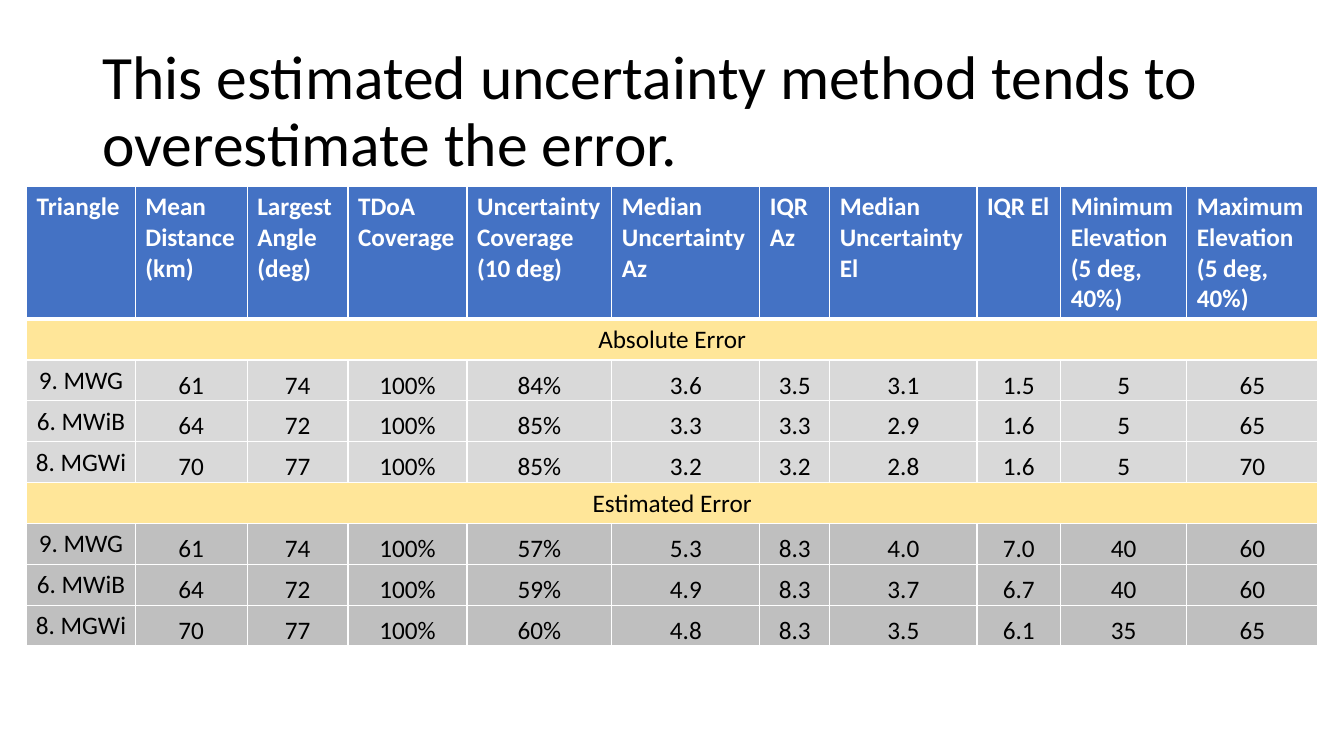
import pptx
import pptx.dml.color
import pptx.enum.text
import pptx.oxml
import pptx.oxml.ns
import pptx.util

Cm = pptx.util.Cm
RGBColor = pptx.dml.color.RGBColor
Align = pptx.enum.text.PP_ALIGN
Anchor = pptx.enum.text.MSO_ANCHOR

BLACK = RGBColor(0x00, 0x00, 0x00)
WHITE = RGBColor(0xFF, 0xFF, 0xFF)
BLUE = RGBColor(0x44, 0x72, 0xC4)
YELLOW = RGBColor(0xFF, 0xE6, 0x99)
LIGHT_GRAY = RGBColor(0xD9, 0xD9, 0xD9)
MID_GRAY = RGBColor(0xBF, 0xBF, 0xBF)

HEADER_HEIGHT = Cm(3.34)
ROW_HEIGHT = Cm(1.03)
COLUMN_WIDTHS = [2.74, 2.82, 2.54, 3, 3.65, 3.73, 1.76, 3.71, 2.11, 3.18, 3.3]

HEADINGS = [
    "Triangle", "Mean Distance (km)", "Largest Angle (deg)", "TDoA Coverage",
    "Uncertainty Coverage\n(10 deg)", "Median Uncertainty Az", "IQR Az",
    "Median Uncertainty El", "IQR El", "Minimum Elevation (5 deg, 40%)",
    "Maximum Elevation (5 deg, 40%)",
]
ABSOLUTE_ROWS = [
    ["9. MWG", "61", "74", "100%", "84%", "3.6", "3.5", "3.1", "1.5", "5", "65"],
    ["6. MWiB", "64", "72", "100%", "85%", "3.3", "3.3", "2.9", "1.6", "5", "65"],
    ["8. MGWi", "70", "77", "100%", "85%", "3.2", "3.2", "2.8", "1.6", "5", "70"],
]
ESTIMATED_ROWS = [
    ["9. MWG", "61", "74", "100%", "57%", "5.3", "8.3", "4.0", "7.0", "40", "60"],
    ["6. MWiB", "64", "72", "100%", "59%", "4.9", "8.3", "3.7", "6.7", "40", "60"],
    ["8. MGWi", "70", "77", "100%", "60%", "4.8", "8.3", "3.5", "6.1", "35", "65"],
]


def write_text(frame, text, size=18, color=BLACK, bold=False, align=Align.LEFT, spacing=1.0):
    frame.text = text
    for para in frame.paragraphs:
        para.alignment = align
        para.line_spacing = spacing
        for span in para.runs:
            span.font.name = "Calibri"
            span.font.size = pptx.util.Pt(size)
            span.font.bold = bold
            span.font.color.rgb = color


def paint_cell(cell, fill, top=1, bottom=1):
    properties = cell._tc.get_or_add_tcPr()
    for side, width in (("L", 1), ("R", 1), ("T", top), ("B", bottom)):
        properties.append(pptx.oxml.parse_xml(
            f'<a:ln{side} {pptx.oxml.ns.nsdecls("a")} w="{pptx.util.Pt(width)}">'
            f'<a:solidFill><a:srgbClr val="{WHITE}"/></a:solidFill></a:ln{side}>'))
    cell.fill.solid()
    cell.fill.fore_color.rgb = fill


deck = pptx.Presentation()
deck.slide_width = Cm(33.87)
deck.slide_height = Cm(19.05)
page = deck.slides.add_slide(deck.slide_layouts[6])

title_box = page.shapes.add_textbox(Cm(2.33), Cm(1.01), Cm(29.21), Cm(3.68))
title_box.text_frame.word_wrap = True
title_box.text_frame.vertical_anchor = Anchor.MIDDLE
write_text(title_box.text_frame,
           "This estimated uncertainty method tends to overestimate the error.",
           size=44, spacing=0.9)

body_rows = []
for section, section_rows, section_fill in (
        ("Absolute Error", ABSOLUTE_ROWS, LIGHT_GRAY),
        ("Estimated Error", ESTIMATED_ROWS, MID_GRAY)):
    body_rows.append(([section], YELLOW))
    body_rows.extend((values, section_fill) for values in section_rows)

table = page.shapes.add_table(
    len(body_rows) + 1, len(HEADINGS), Cm(0.67), Cm(4.7),
    Cm(sum(COLUMN_WIDTHS)), HEADER_HEIGHT + ROW_HEIGHT * len(body_rows)).table
table.horz_banding = False
for column, width in zip(table.columns, COLUMN_WIDTHS):
    column.width = Cm(width)
for row in table.rows:
    row.height = ROW_HEIGHT
table.rows[0].height = HEADER_HEIGHT

for cell, heading in zip(table.rows[0].cells, HEADINGS):
    paint_cell(cell, BLUE, bottom=3)
    write_text(cell.text_frame, heading, color=WHITE, bold=True)

for row_index, (values, fill) in enumerate(body_rows, start=1):
    cells = list(table.rows[row_index].cells)
    if len(values) == 1:
        cells[0].merge(cells[-1])
    for cell in cells:
        paint_cell(cell, fill, top=3 if row_index == 1 else 1)
    for column_index, (cell, value) in enumerate(zip(cells, values)):
        cell.margin_left = cell.margin_right = cell.margin_top = Cm(0.02)
        cell.margin_bottom = 0
        cell.vertical_anchor = Anchor.BOTTOM if column_index else Anchor.MIDDLE
        write_text(cell.text_frame, value, align=Align.CENTER)

deck.save("out.pptx")
